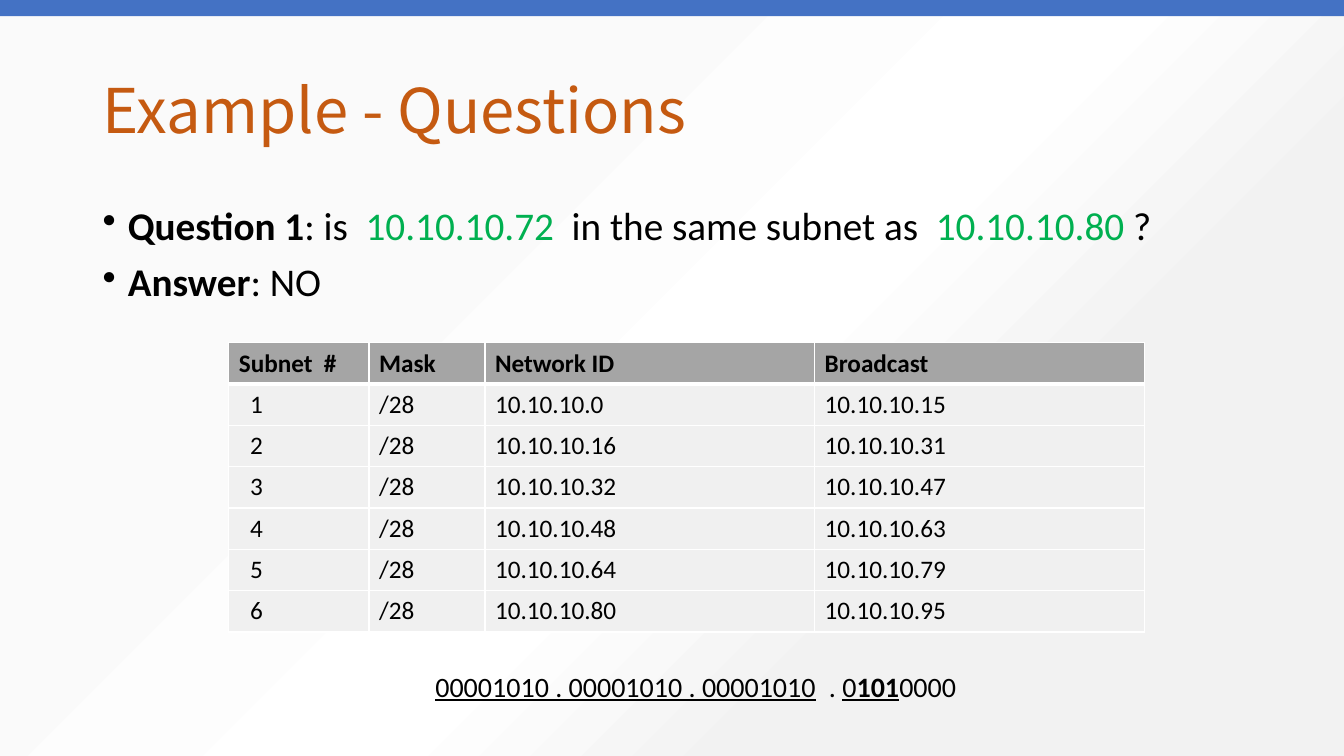
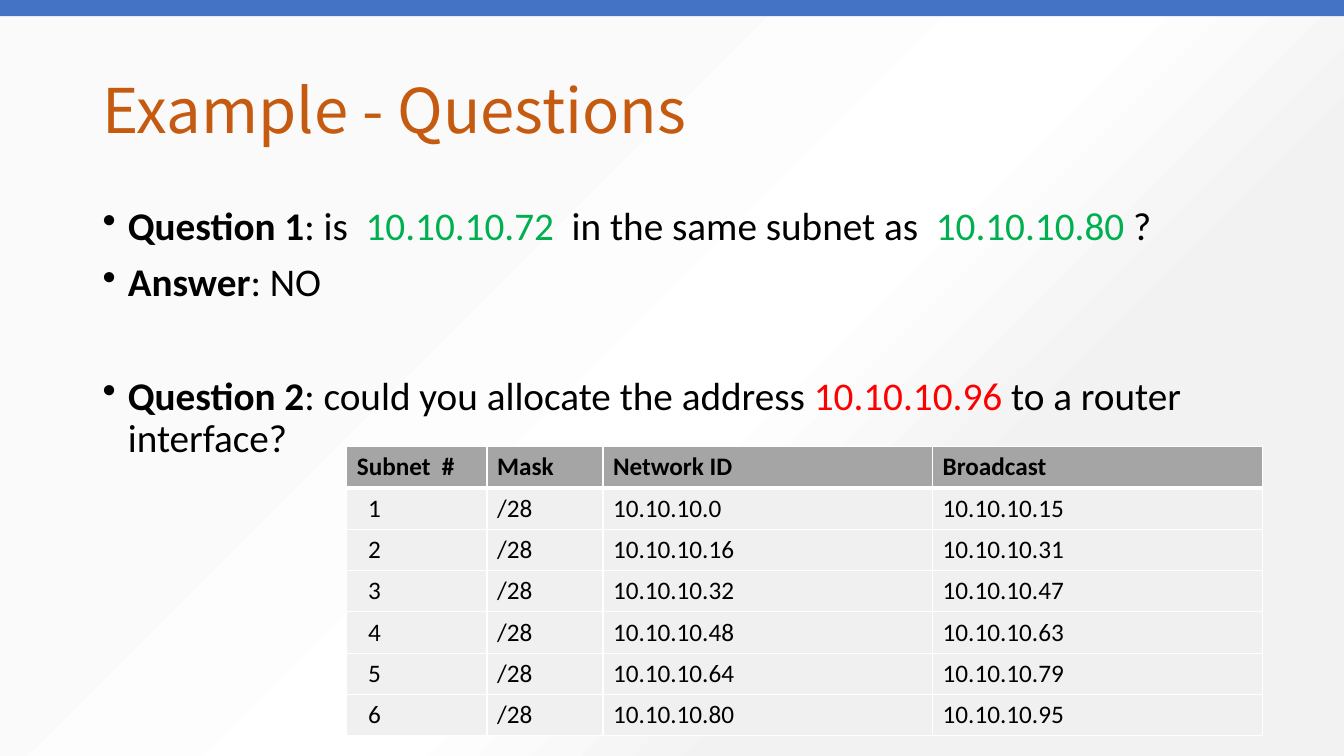
"""Build two slides of subnetting example questions."""
import lxml.etree
import pptx
import pptx.dml.color
import pptx.enum.shapes
import pptx.enum.text
import pptx.oxml
import pptx.oxml.ns
import pptx.util

Inches, Pt = pptx.util.Inches, pptx.util.Pt
MIDDLE = pptx.enum.text.MSO_ANCHOR.MIDDLE
qn = pptx.oxml.ns.qn

BLACK, WHITE, GREEN, RED = "000000", "FFFFFF", "00B050", "FF0000"
BAR, TITLE, HEADER, BODY = "4472C4", "C55A11", "A5A5A5", "F0F0F0"
BACKGROUND = [(29, "FAFAFA"), (54, WHITE), (71, "F2F2F2"), (87, "F2F2F2")]
TEXT_FONT, TITLE_FONT = "Calibri", "Noto Sans CJK SC"
WIDTH, HEIGHT = 13.33, 7.5

HEADING = "Example - Questions"
QUESTION_1 = [
    ("Question 1", {"bold": True}), (": is  ", {}), ("10.10.10.72", {"color": GREEN}),
    ("  in the same subnet as  ", {}), ("10.10.10.80", {"color": GREEN}), (" ?", {}),
]
ANSWER_1 = [("Answer", {"bold": True}), (": NO", {})]
QUESTION_2 = [
    ("Question 2", {"bold": True}), (": could you allocate the address ", {}),
    ("10.10.10.96", {"color": RED}), (" to a router interface?", {}),
]
BINARY = [
    ("00001010 . 00001010 . 00001010", {"underline": True}), ("  . ", {}),
    ("0", {"underline": True}), ("101", {"underline": True, "bold": True}), ("0000", {}),
]
COLUMNS = [("Subnet  #", 1.39), ("Mask", 1.15), ("Network ID", 3.27), ("Broadcast", 3.27)]
ROW_HEIGHT = 0.41
BLOCK = 16
SUBNETS = [
    (str(n + 1), "/28", f"10.10.10.{n * BLOCK}", f"10.10.10.{(n + 1) * BLOCK - 1}")
    for n in range(6)
]
SLIDES = [
    {"bullets": [(QUESTION_1, 10), (ANSWER_1, 10)], "table": (2.27, 3.4), "binary": BINARY},
    {"bullets": [(QUESTION_1, 10), (ANSWER_1, 10), (QUESTION_2, 51)], "table": (3.44, 4.43)},
]


def rgb(value):
    """Return the colour for a hex string."""
    return pptx.dml.color.RGBColor.from_string(value)


def set_background(master):
    """Give every slide the diagonal grey gradient."""
    fill = master.background.fill
    fill.gradient()
    fill.gradient_angle = 315
    stops = master.element.find(".//" + qn("p:bg")).find(".//" + qn("a:gsLst"))
    for stop in list(stops):
        stops.remove(stop)
    for position, color in BACKGROUND:
        stop = lxml.etree.SubElement(stops, qn("a:gs"), pos=str(position * 1000))
        lxml.etree.SubElement(stop, qn("a:srgbClr"), val=color)


def style(p, size, color=BLACK, name=TEXT_FONT, bold=False):
    """Set the font of a paragraph."""
    p.font.size, p.font.name, p.font.bold = Pt(size), name, bold
    p.font.color.rgb = rgb(color)


def add_runs(p, runs):
    """Add runs that differ in colour, weight or underline."""
    for text, look in runs:
        r = p.add_run()
        r.text = text
        if "color" in look:
            r.font.color.rgb = rgb(look["color"])
        if "bold" in look:
            r.font.bold = True
        if "underline" in look:
            r.font.underline = True


def add_text(s, left, top, width, height, wrap=True):
    """Add a text box and return its frame."""
    tf = s.shapes.add_textbox(Inches(left), Inches(top), Inches(width), Inches(height)).text_frame
    tf.word_wrap = wrap
    return tf


def add_frame(s):
    """Add the title and the top bar."""
    tf = add_text(s, 0.92, 0.4, 11.5, 1.45)
    tf.vertical_anchor = MIDDLE
    p = tf.paragraphs[0]
    p.text, p.line_spacing = HEADING, 0.9
    style(p, 44, TITLE, TITLE_FONT)
    bar = s.shapes.add_shape(
        pptx.enum.shapes.MSO_SHAPE.RECTANGLE, 0, 0, Inches(WIDTH), Inches(0.16))
    bar.shadow.inherit = False
    bar.fill.solid()
    bar.fill.fore_color.rgb = rgb(BAR)
    bar.line.fill.background()


def add_bullets(s, bullets):
    """Add the questions and answers as a bulleted list."""
    tf = add_text(s, 0.92, 2, 11.5, 4.76)
    for i, (runs, space) in enumerate(bullets):
        p = tf.add_paragraph() if i else tf.paragraphs[0]
        p.line_spacing, p.space_before = 0.9, Pt(space)
        style(p, 28)
        add_runs(p, runs)
        pPr = p._p.get_or_add_pPr()
        pPr.set("marL", str(Inches(0.25)))
        pPr.set("indent", str(Inches(-0.25)))
        bullet = pptx.oxml.parse_xml(
            f'<a:buChar {pptx.oxml.ns.nsdecls("a")} char="•"/>')
        pPr.find(qn("a:defRPr")).addprevious(bullet)


def add_borders(cell, top, bottom):
    """Draw white borders around a table cell."""
    tcPr = cell._tc.get_or_add_tcPr()
    for side, points in (("L", 1), ("R", 1), ("T", top), ("B", bottom)):
        line = lxml.etree.SubElement(tcPr, qn(f"a:ln{side}"), w=str(Pt(points)))
        fill = lxml.etree.SubElement(line, qn("a:solidFill"))
        lxml.etree.SubElement(fill, qn("a:srgbClr"), val=WHITE)


def add_subnets(s, left, top):
    """Add the table of subnets."""
    rows = [[name for name, _ in COLUMNS]] + SUBNETS
    table = s.shapes.add_table(
        len(rows), len(COLUMNS), Inches(left), Inches(top),
        Inches(sum(w for _, w in COLUMNS)), Inches(ROW_HEIGHT * len(rows))).table
    for column, (_, width) in zip(table.columns, COLUMNS):
        column.width = Inches(width)
    for i, row in enumerate(rows):
        table.rows[i].height = Inches(ROW_HEIGHT)
        for j, text in enumerate(row):
            cell = table.cell(i, j)
            add_borders(cell, 3 if i == 1 else 1, 3 if i == 0 else 1)
            cell.fill.solid()
            cell.fill.fore_color.rgb = rgb(BODY if i else HEADER)
            cell.vertical_anchor = MIDDLE
            if i and j == 0:
                cell.margin_left = Inches(0.21)
            cell.text = text
            style(cell.text_frame.paragraphs[0], 18, bold=i == 0)


def add_binary(s, runs):
    """Add the address in binary below the table."""
    p = add_text(s, 4.22, 6.59, 5.4, 0.44, wrap=False).paragraphs[0]
    style(p, 20)
    add_runs(p, runs)


def main():
    """Build and save the presentation."""
    prs = pptx.Presentation()
    prs.slide_width, prs.slide_height = Inches(WIDTH), Inches(HEIGHT)
    set_background(prs.slide_master)
    for content in SLIDES:
        s = prs.slides.add_slide(prs.slide_layouts[6])
        add_frame(s)
        add_bullets(s, content["bullets"])
        add_subnets(s, *content["table"])
        if "binary" in content:
            add_binary(s, content["binary"])
    prs.save("out.pptx")


if __name__ == "__main__":
    main()
